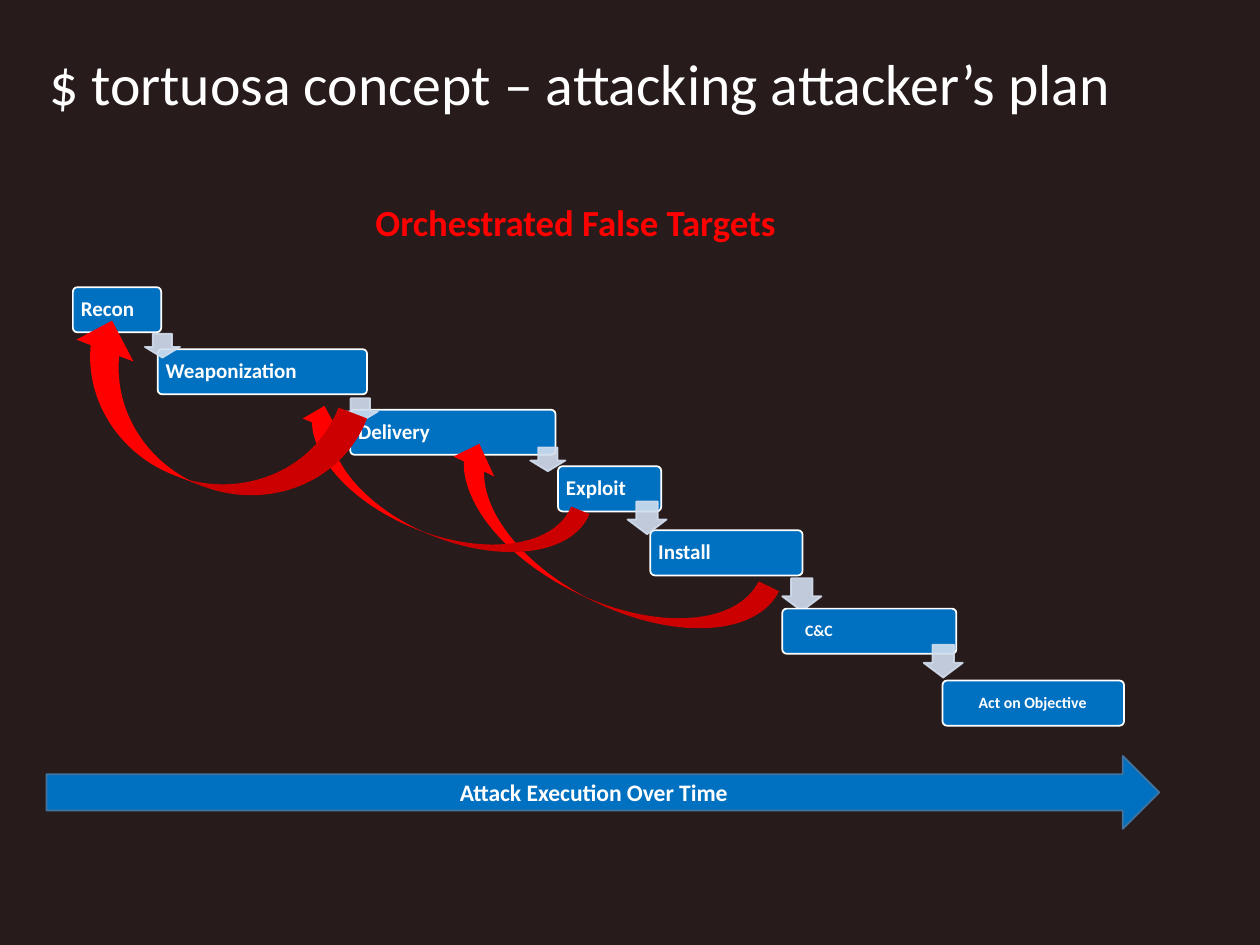
from dataclasses import dataclass

from lxml import etree
from pptx import Presentation
from pptx.dml.color import RGBColor
from pptx.enum.shapes import MSO_SHAPE
from pptx.enum.text import MSO_ANCHOR, PP_ALIGN
from pptx.oxml.ns import qn
from pptx.util import Cm, Pt

ROUND = MSO_SHAPE.ROUNDED_RECTANGLE
DOWN = MSO_SHAPE.DOWN_ARROW
RIGHT = MSO_SHAPE.RIGHT_ARROW
CURVE = MSO_SHAPE.CURVED_DOWN_ARROW
MIDDLE = MSO_ANCHOR.MIDDLE
TOP = MSO_ANCHOR.TOP
LEFT = PP_ALIGN.LEFT
CENTER = PP_ALIGN.CENTER

FONT = "Calibri"
DARK, BLUE, EDGE = "271B1B", "0070C0", "43739E"
PALE, WHITE, RED = "D2DEEF", "FFFFFF", "FF0000"


@dataclass
class Box:
    left: float
    top: float
    width: float
    height: float

    def cm(self):
        return Cm(self.left), Cm(self.top), Cm(self.width), Cm(self.height)


@dataclass
class Step:
    text: str
    left: float
    top: float
    width: float
    span: float  # width of the label
    shift: float = 0.03  # label offset from the left edge
    size: float = 12
    pad: float = 0.13


@dataclass
class Loop:
    box: Box
    turn: float


STEPS = [
    Step("Recon", 1.47, 5.79, 1.78, 1.47),
    Step("Weaponization", 3.18, 7.04, 4.22, 3.51),
    Step("Delivery", 7.06, 8.26, 4.14, 3.45),
    Step("Exploit", 11.25, 9.4, 2.08, 1.7),
    Step("Install", 13.11, 10.69, 3.07, 2.54),
    Step("C&C", 15.77, 12.27, 3.51, 2.87, 0.36, 9, 0.1),
    Step("Act on Objective", 19, 13.72, 3.66, 3, 0.63, 9, 0.1),
]
SMALL, LARGE = (0.71, 0.48), (0.79, 0.66)
BACK = [
    Box(2.92, 6.73, *SMALL),
    Box(6.91, 8.03, *SMALL),
    Box(10.69, 9.02, *SMALL),
    Box(15.77, 11.66, *LARGE),
]
FRONT = [Box(12.65, 10.11, *LARGE), Box(18.62, 13, *LARGE)]
LOOPS = [
    Loop(Box(8.48, 10.24, 7.19, 1.83), 26.2),
    Loop(Box(5.64, 9.14, 6.17, 1.6), 22.2),
    Loop(Box(1.04, 7.26, 6.12, 2.46), 21),
]


def paint(fill, color: str, alpha: int = 100) -> None:
    fill.solid()
    fill.fore_color.rgb = RGBColor.from_string(color)
    if alpha < 100:
        for node in fill._xPr.iter(qn("a:srgbClr")):
            etree.SubElement(node, qn("a:alpha"), val=str(alpha * 1000))


def draw(shapes, kind, box: Box, color: str, edge: str = "", alpha: int = 100):
    shape = shapes.add_shape(kind, *box.cm())
    shape.shadow.inherit = False
    paint(shape.fill, color, alpha)
    if edge:
        shape.line.width = Pt(1)
        paint(shape.line.fill, edge, alpha)
    else:
        shape.line.fill.background()
    return shape


def write(frame, text: str, size: float, color: str = WHITE, bold: bool = True,
          align=LEFT, anchor=MIDDLE) -> None:
    frame.word_wrap = True
    frame.vertical_anchor = anchor
    line = frame.paragraphs[0]
    line.text = text
    line.alignment = align
    font = line.font
    font.name, font.size, font.bold = FONT, Pt(size), bold
    font.color.rgb = RGBColor.from_string(color)


def add_step(shapes, step: Step) -> None:
    box = Box(step.left, step.top, step.width, 0.91)
    draw(shapes, ROUND, box, BLUE, WHITE).adjustments[0] = 0.1
    spot = Box(step.left + step.shift, step.top + 0.03, step.span, 0.86)
    frame = shapes.add_textbox(*spot.cm()).text_frame
    frame.margin_left = frame.margin_right = Cm(step.pad)
    frame.margin_top = frame.margin_bottom = Cm(step.pad)
    write(frame, step.text, step.size)
    frame.paragraphs[0].line_spacing = 0.9


def add_drop(shapes, box: Box) -> None:
    """Add a pale arrow that leads down to the next step."""
    arrow = draw(shapes, DOWN, box, PALE, PALE, 90)
    arrow.adjustments[0] = 0.55
    arrow.adjustments[1] = 0.45


def add_loop(shapes, loop: Loop) -> None:
    """Add a red arrow that bends back to an earlier step."""
    arrow = draw(shapes, CURVE, loop.box, RED)
    arrow.rotation = loop.turn
    frame = arrow._element.spPr.get_or_add_xfrm()
    frame.set("flipH", "1")
    frame.set("flipV", "1")


def main() -> None:
    deck = Presentation()
    deck.slide_width, deck.slide_height = Cm(25.4), Cm(19.05)
    slide = deck.slides.add_slide(deck.slide_layouts[6])
    paint(slide.background.fill, DARK)
    shapes = slide.shapes

    for step in STEPS[:5]:
        add_step(shapes, step)
    for box in BACK:
        add_drop(shapes, box)
    for step in STEPS[5:]:
        add_step(shapes, step)
    for box in FRONT:
        add_drop(shapes, box)

    time = draw(shapes, RIGHT, Box(0.94, 15.24, 22.43, 1.47), BLUE, EDGE)
    write(time.text_frame, "Attack Execution Over Time", 13.5, align=CENTER)

    title = shapes.add_textbox(*Box(0.74, 0.33, 23.98, 2.84).cm()).text_frame
    write(title, "$ tortuosa concept – attacking attacker’s plan", 33, bold=False)
    title.paragraphs[0].line_spacing = 0.9

    head = shapes.add_textbox(*Box(7.32, 3.91, 10.13, 1.14).cm()).text_frame
    write(head, "Orchestrated False Targets", 21, RED, anchor=TOP)

    for loop in LOOPS:
        add_loop(shapes, loop)
    deck.save("out.pptx")


if __name__ == "__main__":
    main()
